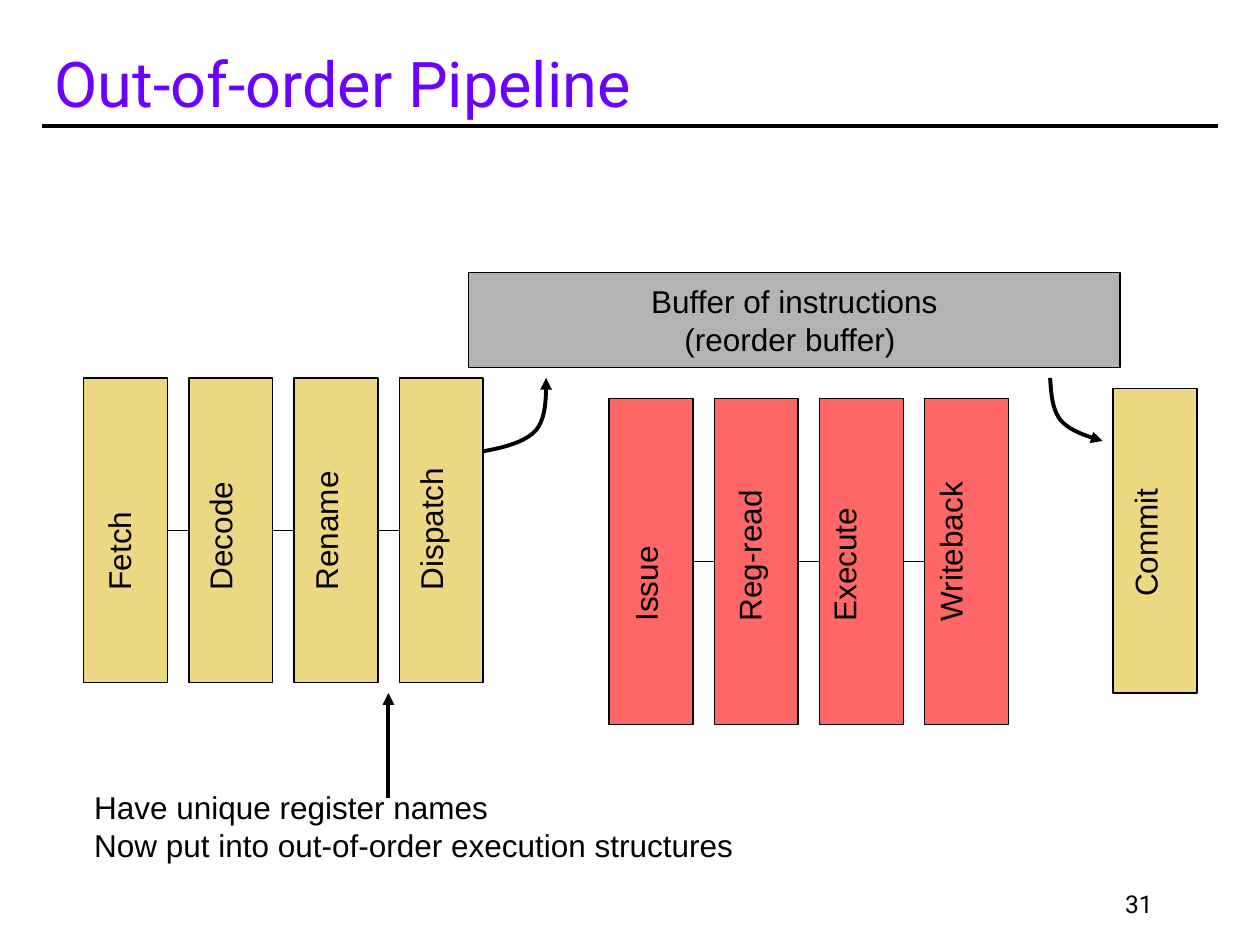
from dataclasses import dataclass
from lxml.etree import SubElement
from pptx import Presentation
from pptx.dml.color import RGBColor
from pptx.enum.shapes import MSO_CONNECTOR, MSO_SHAPE
from pptx.enum.text import MSO_ANCHOR, MSO_AUTO_SIZE, PP_ALIGN
from pptx.oxml.ns import qn
from pptx.util import Cm, Pt


@dataclass(frozen=True)
class Theme:
    ink: RGBColor = RGBColor(0x00, 0x00, 0x00)
    heading: RGBColor = RGBColor(0x6B, 0x02, 0xFF)
    in_order: RGBColor = RGBColor(0xEC, 0xD8, 0x82)
    out_of_order: RGBColor = RGBColor(0xFF, 0x66, 0x66)
    buffer: RGBColor = RGBColor(0xB3, 0xB3, 0xB3)
    body_font: str = "Arial"
    heading_font: str = "Roboto"
    heading_size: Pt = Pt(36)
    body_size: Pt = Pt(18)
    number_size: Pt = Pt(14)
    thin: Pt = Pt(0.75)
    thick: Pt = Pt(2.25)


theme = Theme()


def write(holder, text, size=theme.body_size, font=theme.body_font,
          color=theme.ink, align=PP_ALIGN.LEFT, anchor=MSO_ANCHOR.TOP, wrap=False):
    frame = holder.text_frame
    frame.text = text
    frame.word_wrap = wrap
    frame.vertical_anchor = anchor
    for paragraph in frame.paragraphs:
        paragraph.alignment = align
        for run in paragraph.runs:
            run.font.size = size
            run.font.name = font
            run.font.color.rgb = color
    return frame


def stroke(item, width, arrow=False):
    item.line.color.rgb = theme.ink
    item.line.width = width
    properties = item._element.spPr
    if arrow:
        SubElement(item.line._get_or_add_ln(), qn("a:tailEnd"), type="triangle")
    if properties.find(qn("a:effectLst")) is None:
        SubElement(properties, qn("a:effectLst"))


presentation = Presentation()
presentation.slide_width = Cm(25.4)
presentation.slide_height = Cm(19.05)
slide = presentation.slides.add_slide(presentation.slide_layouts[6])
shapes = slide.shapes

title_rule = shapes.add_connector(MSO_CONNECTOR.STRAIGHT, Cm(0.85), Cm(2.54), Cm(24.55), Cm(2.54))
stroke(title_rule, theme.thick)
title = shapes.add_textbox(Cm(0.85), Cm(0.64), Cm(22.23), Cm(1.91))
write(title, "Out-of-order Pipeline", theme.heading_size, theme.heading_font,
      theme.heading, anchor=MSO_ANCHOR.BOTTOM, wrap=True)

stage_width, stage_pitch, label_height = 1.69, 2.12, 1.27
pipeline_parts = [
    (1.69, 7.62, 6.14, 12.15, theme.in_order,
     [("Fetch", 2.62, 0.83), ("Decode", 3.43, 0.75),
      ("Rename", 3.71, 0.76), ("Dispatch", 3.81, 0.76)]),
    (22.44, 7.83, 6.14, 12.28, theme.in_order, [("Commit", 3.43, 0.77)]),
    (12.28, 8.04, 6.56, 12.78, theme.out_of_order,
     [("Issue", 2.54, 0.86), ("Reg-read", 4.04, 0.83),
      ("Execute", 3.58, 0.62), ("Writeback", 4.27, 0.64)]),
]

for left, top, height, label_base, fill, stages in pipeline_parts:
    previous_stage = None
    for index, (name, label_length, label_axis) in enumerate(stages):
        stage_left = left + index * stage_pitch
        stage = shapes.add_shape(MSO_SHAPE.RECTANGLE, Cm(stage_left), Cm(top),
                                 Cm(stage_width), Cm(height))
        stage.shadow.inherit = False
        stage.fill.solid()
        stage.fill.fore_color.rgb = fill
        stroke(stage, theme.thin)

        label = shapes.add_textbox(Cm(stage_left + label_axis - label_length / 2),
                                   Cm(label_base - label_length / 2 - label_height / 2),
                                   Cm(label_length), Cm(label_height))
        label.rotation = 270
        write(label, name).auto_size = MSO_AUTO_SIZE.SHAPE_TO_FIT_TEXT

        if previous_stage is not None:
            link = shapes.add_connector(MSO_CONNECTOR.STRAIGHT, 0, 0, 0, 0)
            link.begin_connect(previous_stage, 3)
            link.end_connect(stage, 1)
            stroke(link, theme.thin)
        previous_stage = stage

reorder_buffer = shapes.add_shape(MSO_SHAPE.RECTANGLE, Cm(9.45), Cm(5.5), Cm(13.13), Cm(1.91))
reorder_buffer.shadow.inherit = False
reorder_buffer.fill.solid()
reorder_buffer.fill.fore_color.rgb = theme.buffer
stroke(reorder_buffer, theme.thin)
write(reorder_buffer, "Buffer of instructions\n(reorder buffer) ",
      align=PP_ALIGN.CENTER, anchor=MSO_ANCHOR.MIDDLE)

buffer_paths = [
    [(9.74, 9.1), (10.16, 9.02), (10.58, 8.92), (10.8, 8.68),
     (11.01, 8.44), (11.01, 8.03), (11.01, 7.62)],
    [(21.17, 7.62), (21.19, 7.93), (21.21, 8.25), (21.38, 8.47),
     (21.56, 8.68), (21.89, 8.79), (22.23, 8.89)],
]
curve_steps = 10
for controls in buffer_paths:
    points = []
    for start in (0, 3):
        for step in range(1, curve_steps + 1):
            t = step / curve_steps
            weights = ((1 - t) ** 3, 3 * t * (1 - t) ** 2, 3 * t ** 2 * (1 - t), t ** 3)
            x, y = (sum(weight * point[axis]
                        for weight, point in zip(weights, controls[start:start + 4]))
                    for axis in (0, 1))
            points.append((Cm(x), Cm(y)))
    outline = shapes.build_freeform(Cm(controls[0][0]), Cm(controls[0][1]))
    outline.add_line_segments(points, close=False)
    buffer_arrow = outline.convert_to_shape()
    buffer_arrow.shadow.inherit = False
    buffer_arrow.fill.background()
    stroke(buffer_arrow, theme.thick, arrow=True)

rename_arrow = shapes.add_connector(MSO_CONNECTOR.STRAIGHT, Cm(7.83), Cm(16.09), Cm(7.83), Cm(13.97))
stroke(rename_arrow, theme.thick, arrow=True)

rename_note = shapes.add_textbox(Cm(1.65), Cm(15.77), Cm(13.51), Cm(1.8))
write(rename_note, "Have unique register names\nNow put into out-of-order execution structures"
      ).auto_size = MSO_AUTO_SIZE.SHAPE_TO_FIT_TEXT

page_number = shapes.add_textbox(Cm(18.2), Cm(17.78), Cm(5.29), Cm(0.85))
write(page_number, "31", theme.number_size, theme.heading_font,
      align=PP_ALIGN.RIGHT, anchor=MSO_ANCHOR.BOTTOM, wrap=True)

presentation.save("out.pptx")
